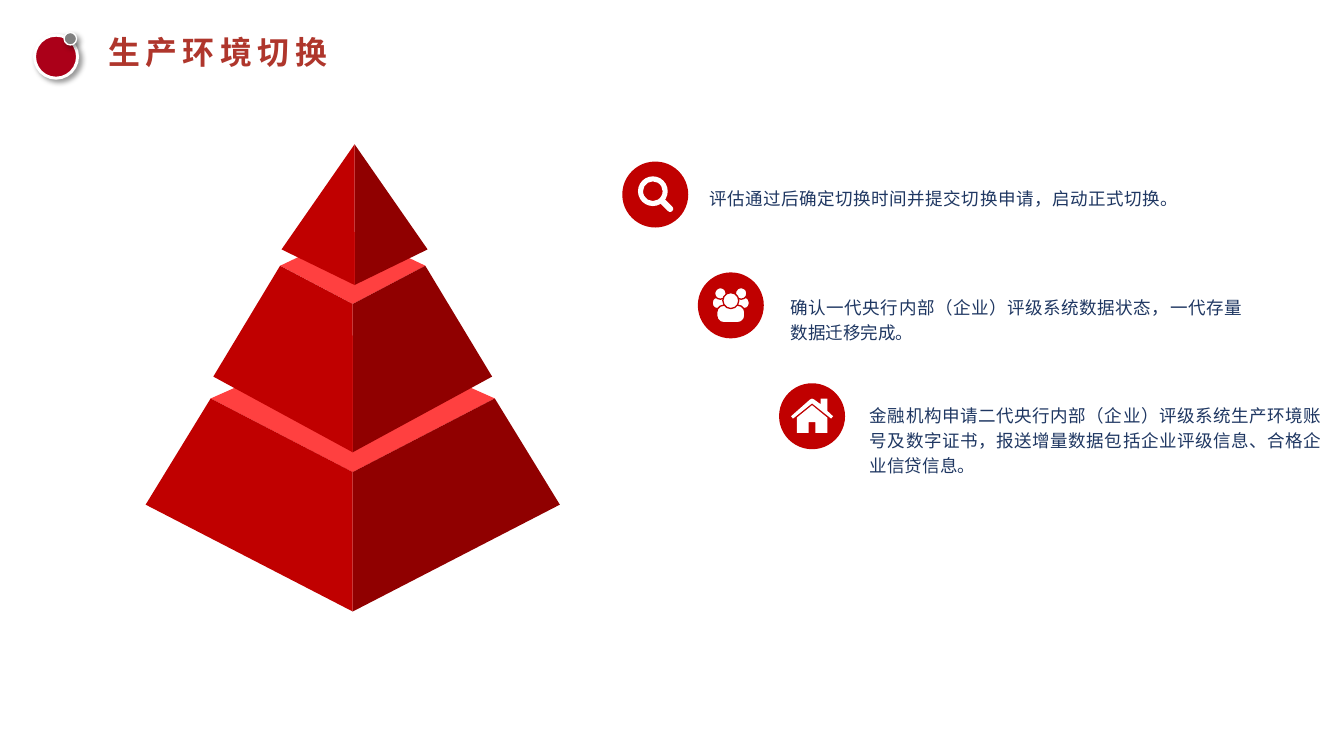
from collections import namedtuple
from dataclasses import dataclass

from lxml import etree
from pptx import Presentation
from pptx.dml.color import RGBColor
from pptx.enum.shapes import MSO_SHAPE
from pptx.enum.text import MSO_ANCHOR, MSO_AUTO_SIZE, PP_ALIGN
from pptx.oxml.ns import qn
from pptx.util import Pt

OVAL = MSO_SHAPE.OVAL
DONUT = MSO_SHAPE.DONUT
ROUNDED = MSO_SHAPE.ROUNDED_RECTANGLE
LEFT, JUSTIFY = PP_ALIGN.LEFT, PP_ALIGN.JUSTIFY
TOP, MIDDLE = MSO_ANCHOR.TOP, MSO_ANCHOR.MIDDLE

Box = namedtuple("Box", "left top width height")


@dataclass(frozen=True)
class Theme:
    red: str = "C00000"
    dark_red: str = "900000"
    light_red: str = "FF4040"
    badge: str = "AB0019"
    grey: str = "808080"
    white: str = "FFFFFF"
    title: str = "AF362C"
    body: str = "1F3762"
    title_font: str = "Noto Sans CJK SC"
    body_font: str = "Calibri"
    title_size: float = 24
    body_size: float = 13.2


THEME = Theme()

# Tier: widths are half widths; each *_y is measured from the pyramid's top
Tier = namedtuple("Tier", "shift top_half back_y top_y front_y base_half base_y tip_y")
TIERS = [
    Tier(0, 107, 144, 191.5, 247, 156, 271.5, 352),
    Tier(0, 54.7, 65.5, 91.5, 120.3, 105, 175, 232),
    Tier(1.4, 0, 0, 0, 0, 55, 79.2, 106),
]

# House outlines, measured from the centre of its disc
HOUSE_ROOF = [(-15.8, 0), (-1.5, -12.6), (0, -13.3), (1.5, -12.6), (6.5, -9),
              (6.5, -13.3), (11.5, -13.3), (11.5, -4), (15.8, 0),
              (14.4, 1.8), (0, -9.7), (-14.4, 1.8)]
HOUSE_WALLS = [(-11.5, 1.1), (0, -8.3), (11.5, 1.1), (11.5, 12.6), (2.5, 12.6),
               (2.5, 4.5), (-2.5, 4.5), (-2.5, 12.6), (-11.5, 12.6)]


def color(value):
    return RGBColor.from_string(value)


def paint(shape, fill, line=None, line_width=1):
    shape.shadow.inherit = False
    shape.fill.solid()
    shape.fill.fore_color.rgb = color(fill)
    if line:
        shape.line.color.rgb = color(line)
        shape.line.width = Pt(line_width)
    else:
        shape.line.fill.background()
    return shape


def add_preset(shapes, kind, box, fill, **line):
    return paint(shapes.add_shape(kind, *map(Pt, box)), fill, **line)


def add_centred(shapes, kind, centre, size, fill, **line):
    (x, y), (width, height) = centre, size
    box = Box(x - width / 2, y - height / 2, width, height)
    return add_preset(shapes, kind, box, fill, **line)


def add_polygon(shapes, points, fill):
    corners = [(Pt(x), Pt(y)) for x, y in points]
    builder = shapes.build_freeform(*corners[0])
    builder.add_line_segments(corners[1:], close=True)
    return paint(builder.convert_to_shape(), fill)


def cast_shadow(shape):
    effects = shape._element.spPr.find(qn("a:effectLst"))
    shadow = etree.SubElement(effects, qn("a:outerShdw"), blurRad=str(Pt(4)),
                              dist=str(Pt(3)), dir="2700000", algn="tl", rotWithShape="0")
    black = etree.SubElement(shadow, qn("a:srgbClr"), val="000000")
    etree.SubElement(black, qn("a:alpha"), val="40000")


def write_text(shape, text, *, font, size, ink, bold=False, align=LEFT, anchor=TOP,
               margins=(0, 0), line_spacing=1.0, space_after=0, letter_spacing=0):
    frame = shape.text_frame
    frame.word_wrap = True
    frame.auto_size = MSO_AUTO_SIZE.NONE
    frame.vertical_anchor = anchor
    frame.margin_left = frame.margin_right = Pt(margins[0])
    frame.margin_top = frame.margin_bottom = Pt(margins[1])
    para = frame.paragraphs[0]
    para.alignment = align
    para.line_spacing = line_spacing
    para.space_before, para.space_after = Pt(0), Pt(space_after)
    span = para.add_run()
    span.text = text
    span.font.name, span.font.size, span.font.bold = font, Pt(size), bold
    span.font.color.rgb = color(ink)
    properties = span.font._element
    etree.SubElement(properties, qn("a:ea"), typeface=font)
    if letter_spacing:
        properties.set("spc", str(round(letter_spacing * 100)))


def draw_heading(page, box, text):
    # Badge with its small satellite
    for dx, dy, size, fill, width in ((0, 2, 32.4, THEME.badge, 2.25),
                                      (22.3, 0, 9.4, THEME.grey, 1)):
        disc = add_preset(page.shapes, OVAL, Box(box.left + dx, box.top + dy, size, size),
                          fill, line=THEME.white, line_width=width)
        cast_shadow(disc)
    # Title
    title = page.shapes.title
    indent = 55.4
    title.left, title.top = Pt(box.left + indent), Pt(box.top)
    title.width, title.height = Pt(box.width - indent), Pt(28.8)
    write_text(title, text, font=THEME.title_font, size=THEME.title_size, ink=THEME.title,
               bold=True, anchor=MIDDLE, letter_spacing=4.2)


def draw_pyramid(page, box):
    for tier in TIERS:
        shapes = page.shapes.add_group_shape().shapes
        middle = box.left + box.width / 2 + tier.shift

        def at(dx, dy):
            return middle + dx, box.top + dy

        front = at(0, tier.front_y)
        # Top face
        if tier.top_half:
            add_polygon(shapes, [at(-tier.top_half, tier.top_y), at(0, tier.back_y),
                                 at(tier.top_half, tier.top_y), front], THEME.light_red)
        # Right and left faces
        for side, fill in ((1, THEME.dark_red), (-1, THEME.red)):
            add_polygon(shapes, [front, at(side * tier.top_half, tier.top_y),
                                 at(side * tier.base_half, tier.base_y),
                                 at(0, tier.tip_y)], fill)


def draw_magnifier(shapes, x, y):
    ring = add_centred(shapes, DONUT, (x - 1.8, y - 2.5), (22.4, 22.4), THEME.white)
    ring.adjustments[0] = 0.17
    handle = add_centred(shapes, ROUNDED, (x + 8.2, y + 7.8), (13, 4.6), THEME.white)
    handle.adjustments[0] = 0.5
    handle.rotation = 45


def draw_people(shapes, x, y):
    parts = [(kind, side * dx, dy, width, height)
             for side in (-1, 1)
             for kind, dx, dy, width, height in ((ROUNDED, 9.2, -1.8, 9.4, 8.4),
                                                 (OVAL, 7.8, -9, 8.8, 8.8))]
    parts += [(ROUNDED, 0, 6.5, 21.2, 13.2), (OVAL, 0, -3.6, 12, 12)]
    for kind, dx, dy, width, height in parts:
        part = add_centred(shapes, kind, (x + dx, y + dy), (width, height),
                           THEME.white, line=THEME.red)
        if kind == ROUNDED:
            part.adjustments[0] = 0.4


def draw_house(shapes, x, y):
    for outline in (HOUSE_ROOF, HOUSE_WALLS):
        add_polygon(shapes, [(x + dx, y + dy) for dx, dy in outline], THEME.white)


def draw_step(page, box, draw_icon, text, text_dx, text_dy):
    # Icon on its disc
    disc = 49.7
    shapes = page.shapes.add_group_shape().shapes
    add_preset(shapes, OVAL, Box(box.left, box.top, disc, disc), THEME.red)
    draw_icon(shapes, box.left + disc / 2, box.top + disc / 2)
    # Description
    area = Box(box.left + text_dx, box.top + text_dy, box.width - text_dx, box.height - text_dy)
    write_text(page.shapes.add_textbox(*map(Pt, area)), text, font=THEME.body_font,
               size=THEME.body_size, ink=THEME.body, align=JUSTIFY, margins=(8.64, 4.32),
               line_spacing=1.2, space_after=7.2)


STEPS = [
    (468.7, 56.9, 12.2, draw_magnifier,
     "评估通过后确定切换时间并提交切换申请，启动正式切换。"),
    (525.6, 61.2, 10.8, draw_people,
     "确认一代央行内部（企业）评级系统数据状态，一代存量数据迁移完成。"),
    (586.8, 59.8, 8.7, draw_house,
     "金融机构申请二代央行内部（企业）评级系统生产环境账号及数字证书，"
     "报送增量数据包括企业评级信息、合格企业信贷信息。"),
]


def draw_steps(page, top, pitch, text_width):
    for index, (left, text_dx, text_dy, draw_icon, text) in enumerate(STEPS):
        box = Box(left, top + index * pitch, text_dx + text_width, 75)
        draw_step(page, box, draw_icon, text, text_dx, text_dy)


def main():
    deck = Presentation()
    deck.slide_width, deck.slide_height = Pt(1012.32), Pt(569.52)
    page = deck.slides.add_slide(deck.slide_layouts[5])
    draw_heading(page, Box(26, 24.5, 605.5, 34.5), "生产环境切换")
    draw_pyramid(page, Box(109.7, 108.7, 312, 352))
    draw_steps(page, top=121.7, pitch=83.5, text_width=357.1)
    deck.save("out.pptx")


if __name__ == "__main__":
    main()
